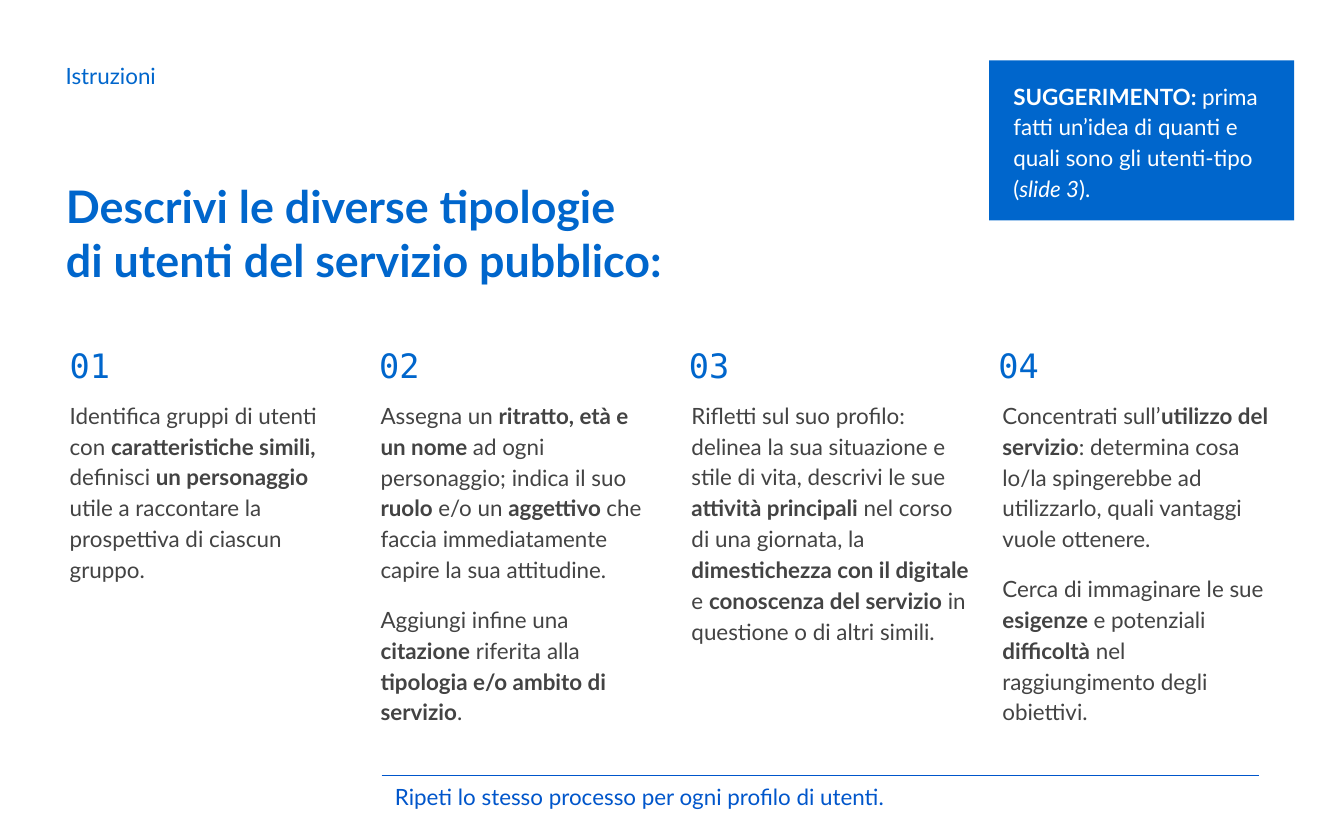
from lxml import etree
from pptx import Presentation
from pptx.dml.color import RGBColor
from pptx.enum.shapes import MSO_CONNECTOR, MSO_SHAPE
from pptx.enum.text import MSO_ANCHOR, MSO_AUTO_SIZE, PP_ALIGN
from pptx.oxml.ns import qn
from pptx.util import Inches, Pt

LINE = MSO_CONNECTOR.STRAIGHT
RECTANGLE = MSO_SHAPE.RECTANGLE
TOP, MIDDLE = MSO_ANCHOR.TOP, MSO_ANCHOR.MIDDLE
LEFT = PP_ALIGN.LEFT
NO_AUTOFIT = MSO_AUTO_SIZE.NONE
TITLE_ONLY = 5

COLORS = {"blue": "0066CC", "deep": "0056CB", "grey": "434343", "white": "FFFFFF"}
TEXT_FONT, NUMBER_FONT = "Lato", "DejaVu Sans Mono"

GRID_LEFT = 0.42
STEP_PITCH = (7.36 - GRID_LEFT) / 3
NUMBER_PITCH = (7.33 - GRID_LEFT) / 3
STEP_WIDTHS = (2.3, 2.27)
STEP_HEIGHTS = (1.37, 2.29, 2.07, 2.29)
NUMBER_TOP, STEP_TOP = 2.56, 2.86

# *bold* and _italic_ marks are read by add_runs.
TITLE_LINES = "*Descrivi le diverse tipologie *", "*di utenti del servizio pubblico:*"
STEPS = [
    ["Identifica gruppi di utenti con *caratteristiche simili, *definisci"
     "* un personaggio *utile a raccontare la prospettiva di ciascun gruppo."],
    ["Assegna un *ritratto, età e un nome *ad ogni personaggio; indica il suo "
     "*ruolo *e/o un *aggettivo *che faccia immediatamente capire la sua attitudine.",
     "Aggiungi infine una *citazione* riferita alla "
     "*tipologia e/o ambito di servizio*."],
    ["Rifletti sul suo profilo: delinea la sua situazione e stile di vita, "
     "descrivi le sue *attività principali *nel corso di una giornata, la "
     "*dimestichezza con il digitale* e *conoscenza del servizio *in questione "
     "o di altri simili."],
    ["Concentrati sull’*utilizzo del servizio*: determina cosa lo/la spingerebbe "
     "ad utilizzarlo, quali vantaggi vuole ottenere.",
     "Cerca di immaginare le sue *esigenze *e potenziali *difficoltà* nel "
     "raggiungimento degli obiettivi."],
]
HINT = ("*SUGGERIMENTO: *prima fatti un’idea di quanti e quali sono gli "
        "utenti-tipo (_slide 3_).")


def color(name):
    return RGBColor.from_string(COLORS[name])


def apply_format(target, values):
    for name, value in values.items():
        setattr(target, name, value)


def add_runs(para, marked, size, tint, font):
    """Split marked text into bold, italic and plain runs."""
    for bold_index, piece in enumerate(marked.split("*")):
        for italic_index, words in enumerate(piece.split("_")):
            if words:
                span = para.add_run()
                span.text = words
                apply_format(span.font, {
                    "name": font, "size": Pt(size),
                    "bold": bold_index % 2 == 1, "italic": italic_index % 2 == 1,
                })
                span.font.color.rgb = color(tint)


def fill_text(shape, paragraphs, size=12, tint="blue", font=TEXT_FONT,
              anchor=MIDDLE, spacing=1.0, side=0.1):
    """Write paragraphs of marked text; a newline becomes a line break."""
    frame = shape.text_frame
    apply_format(frame, {
        "word_wrap": True, "auto_size": NO_AUTOFIT, "vertical_anchor": anchor,
        "margin_left": Inches(side), "margin_right": Inches(side),
        "margin_top": Inches(0.1), "margin_bottom": Inches(0.1),
    })
    for index, marked in enumerate(paragraphs):
        para = frame.add_paragraph() if index else frame.paragraphs[0]
        apply_format(para, {
            "alignment": LEFT, "line_spacing": spacing,
            "space_before": Pt(10 if index else 0),
        })
        for line_index, line in enumerate(marked.split("\n")):
            if line_index:
                para.add_line_break()
            add_runs(para, line, size, tint, font)


def add_text(page, place, paragraphs, **style):
    box = page.shapes.add_textbox(*map(Inches, place))
    fill_text(box, paragraphs, **style)


def add_title(page):
    title = page.shapes.title
    places = map(Inches, (0.39, 1.36, 5.36, 0.74))
    apply_format(title, dict(zip(("left", "top", "width", "height"), places)))
    fill_text(title, ["\n".join(TITLE_LINES)], size=24)


def add_hint(page):
    box = page.shapes.add_shape(RECTANGLE, *map(Inches, (7.36, 0.45, 2.27, 1.19)))
    box.shadow.inherit = False
    box.fill.solid()
    box.fill.fore_color.rgb = color("blue")
    box.line.fill.background()
    fill_text(box, [HINT], tint="white", spacing=1.15, side=0.18)


def add_rule(page):
    rule = page.shapes.add_connector(LINE, *map(Inches, (2.84, 5.77, 9.37, 5.77)))
    rule.line.color.rgb = color("deep")
    rule.line.width = Pt(0.75)
    etree.SubElement(rule._element.spPr, qn("a:effectLst"))


def add_step(page, index, paragraphs):
    add_text(page, (GRID_LEFT + index * NUMBER_PITCH, NUMBER_TOP, 0.56, 0.31),
             [f"{index + 1:02}"], size=18, font=NUMBER_FONT)
    add_text(page, (GRID_LEFT + index * STEP_PITCH, STEP_TOP,
                    STEP_WIDTHS[index % 2], STEP_HEIGHTS[index]),
             paragraphs, tint="grey", anchor=TOP, spacing=1.15)


def main():
    deck = Presentation()
    deck.slide_width, deck.slide_height = Inches(10), Inches(6.25)
    page = deck.slides.add_slide(deck.slide_layouts[TITLE_ONLY])
    add_text(page, (0.39, 0.39, 4.24, 0.34), ["Istruzioni"])
    add_title(page)
    for index, paragraphs in enumerate(STEPS):
        add_step(page, index, paragraphs)
    add_text(page, (2.84, 5.76, 6.42, 0.34),
             ["Ripeti lo stesso processo per ogni profilo di utenti."], tint="deep")
    add_rule(page)
    add_hint(page)
    deck.save("out.pptx")


if __name__ == "__main__":
    main()
